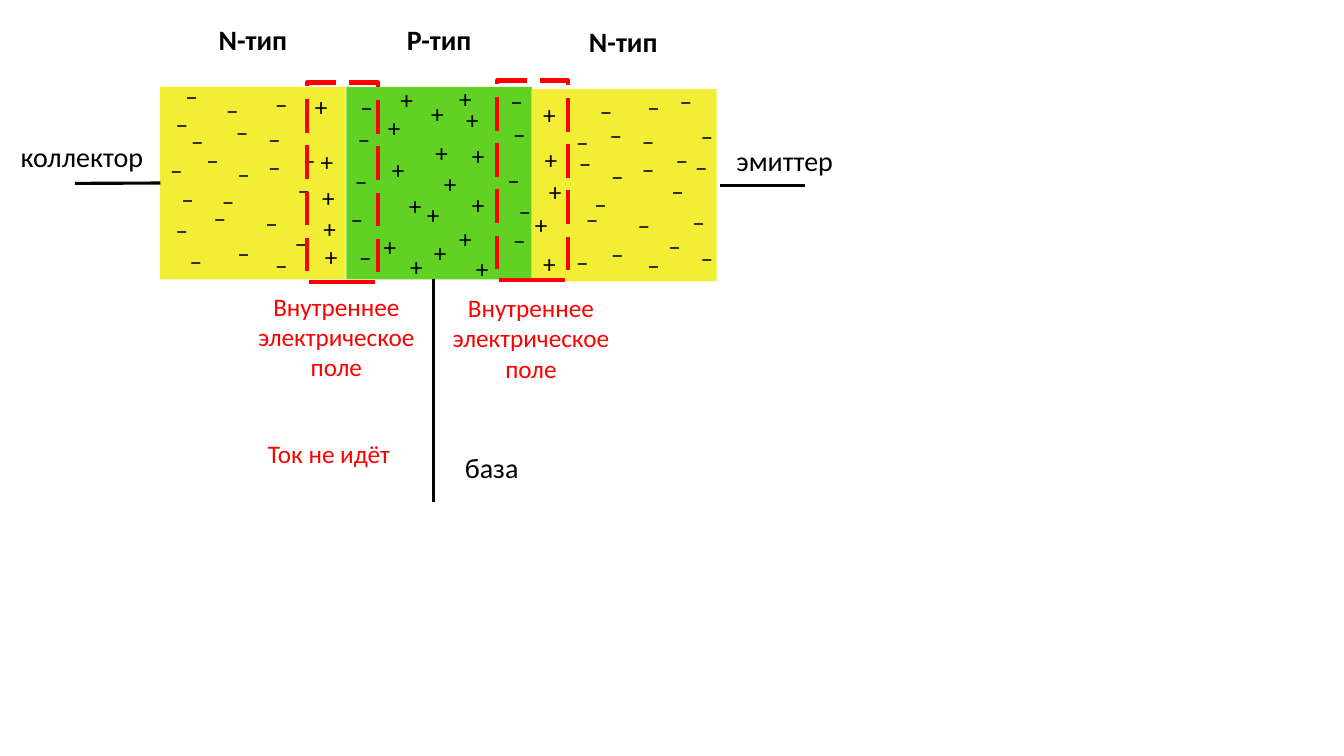
from lxml.etree import SubElement
from pptx import Presentation
from pptx.dml.color import RGBColor
from pptx.enum.dml import MSO_LINE as Dash
from pptx.enum.shapes import MSO_CONNECTOR as Conn, MSO_SHAPE as Shape
from pptx.enum.text import MSO_ANCHOR as Anchor, PP_ALIGN as Align
from pptx.oxml.ns import qn
from pptx.util import Pt

BLACK = RGBColor(0x00, 0x00, 0x00)
RED = RGBColor(0xFF, 0x00, 0x00)
GREEN = RGBColor(0x61, 0xD1, 0x23)
YELLOW = RGBColor(0xF2, 0xEE, 0x36)

WIDE, HIGH = 132.5, 137.5
# Left and top of each charge, in points
HOLES = [
    # collector side of the left junction
    (220, 66), (224, 105), (225, 131), (226, 153), (227, 173),
    # base
    (272, 81), (306, 99), (275, 111), (303, 71), (281, 61), (287, 137),
    (312, 121), (328, 75), (323, 60), (332, 101), (332, 136), (300, 143),
    (323, 160), (335, 182), (305, 170), (288, 180), (269, 166),
    # emitter side of the right junction
    (383, 72), (384, 104), (387, 127), (377, 150), (383, 178),
]
ELECTRONS = [
    # collector
    (120, 78), (156, 68), (142, 104), (163, 84), (191, 64), (186, 89),
    (131, 90), (116, 111), (124, 132), (127, 58), (153, 133), (120, 154),
    (147, 145), (130, 176), (164, 170), (186, 109), (211, 104), (207, 125),
    (184, 149), (205, 163), (191, 179), (164, 114),
    # base, along both junctions
    (252, 66), (250, 89), (248, 119), (245, 146), (251, 173),
    (361, 85), (357, 118), (365, 140), (359, 62), (361, 161),
    # emitter
    (423, 69), (408, 106), (430, 86), (457, 66), (453, 90), (406, 91),
    (419, 135), (413, 146), (406, 177), (431, 171), (453, 110), (477, 104),
    (474, 126), (450, 150), (472, 165), (457, 179), (431, 115), (495, 87),
    (491, 109), (489, 148), (480, 62), (495, 174),
]


def add_text(slide, text, x, y, w, h, size=18, color=BLACK, bold=False, pad=0):
    box = slide.shapes.add_textbox(Pt(x), Pt(y), Pt(w), Pt(h))
    frame = box.text_frame
    frame.word_wrap = True
    frame.vertical_anchor = Anchor.MIDDLE
    frame.margin_left = frame.margin_right = Pt(pad)
    frame.margin_top = frame.margin_bottom = 0
    para = frame.paragraphs[0]
    para.alignment = Align.CENTER
    run = para.add_run()
    run.text = text
    font = run.font
    font.name, font.size, font.bold = "Calibri", Pt(size), bold
    font.color.rgb = color


def add_rect(slide, x, y, w, h):
    rect = slide.shapes.add_shape(Shape.RECTANGLE, Pt(x), Pt(y), Pt(w), Pt(h))
    rect.shadow.inherit = False
    return rect


def add_block(slide, x, y, color):
    block = add_rect(slide, x, y, WIDE, HIGH)
    block.fill.solid()
    block.fill.fore_color.rgb = color
    block.line.fill.background()
    return block


def add_zone(slide, x, y):
    """Dashed frame around a junction."""
    zone = add_rect(slide, x, y, 51, 142.5)
    zone.fill.background()
    zone.line.color.rgb = RED
    zone.line.width = Pt(3)
    zone.line.dash_style = Dash.LONG_DASH


def add_lead(slide, x1, y1, x2, y2):
    lead = slide.shapes.add_connector(
        Conn.STRAIGHT, Pt(x1), Pt(y1), Pt(x2), Pt(y2))
    lead.line.color.rgb = BLACK
    lead.line.width = Pt(2.25)
    SubElement(lead._element.spPr, qn("a:effectLst"))
    return lead


def main():
    prs = Presentation()
    prs.slide_width, prs.slide_height = Pt(960), Pt(540)
    slide = prs.slides.add_slide(prs.slide_layouts[6])

    add_block(slide, 247.5, 62, GREEN)
    left = add_block(slide, 114.5, 62, YELLOW)
    add_block(slide, 379.5, 63.5, YELLOW)
    for kind, x, y in (("N-тип", 114.5, 15), ("P-тип", 247.5, 15),
                       ("N-тип", 379, 16.5)):
        add_text(slide, kind, x, y, WIDE, 26, size=20, bold=True)

    for sign, spots, side in (("+", HOLES, 19), ("–", ELECTRONS, 20)):
        for x, y in spots:
            add_text(slide, sign, x, y, side, 20)

    for x, y in ((219, 59), (355, 57.5)):
        add_zone(slide, x, y)
    for x, y in ((165, 214), (304, 215)):
        add_text(slide, "Внутреннее электрическое поле", x, y, 150.5, 52.5,
                 color=RED, pad=7.2)

    add_lead(slide, 114.5, 131, 53.5, 131).begin_connect(left, 1)
    add_lead(slide, 514, 132.5, 575, 132.5)
    add_lead(slide, 309.5, 199.5, 309.5, 358.5)
    for name, x, y, w in (("коллектор", 7, 98.5, 103), ("база", 285, 320.5, WIDE),
                          ("эмиттер", 515.5, 101.5, 90)):
        add_text(slide, name, x, y, w, 26, size=20)
    add_text(slide, "Ток не идёт", 42, 294, 386, 59, color=RED)

    prs.save("out.pptx")


if __name__ == "__main__":
    main()
